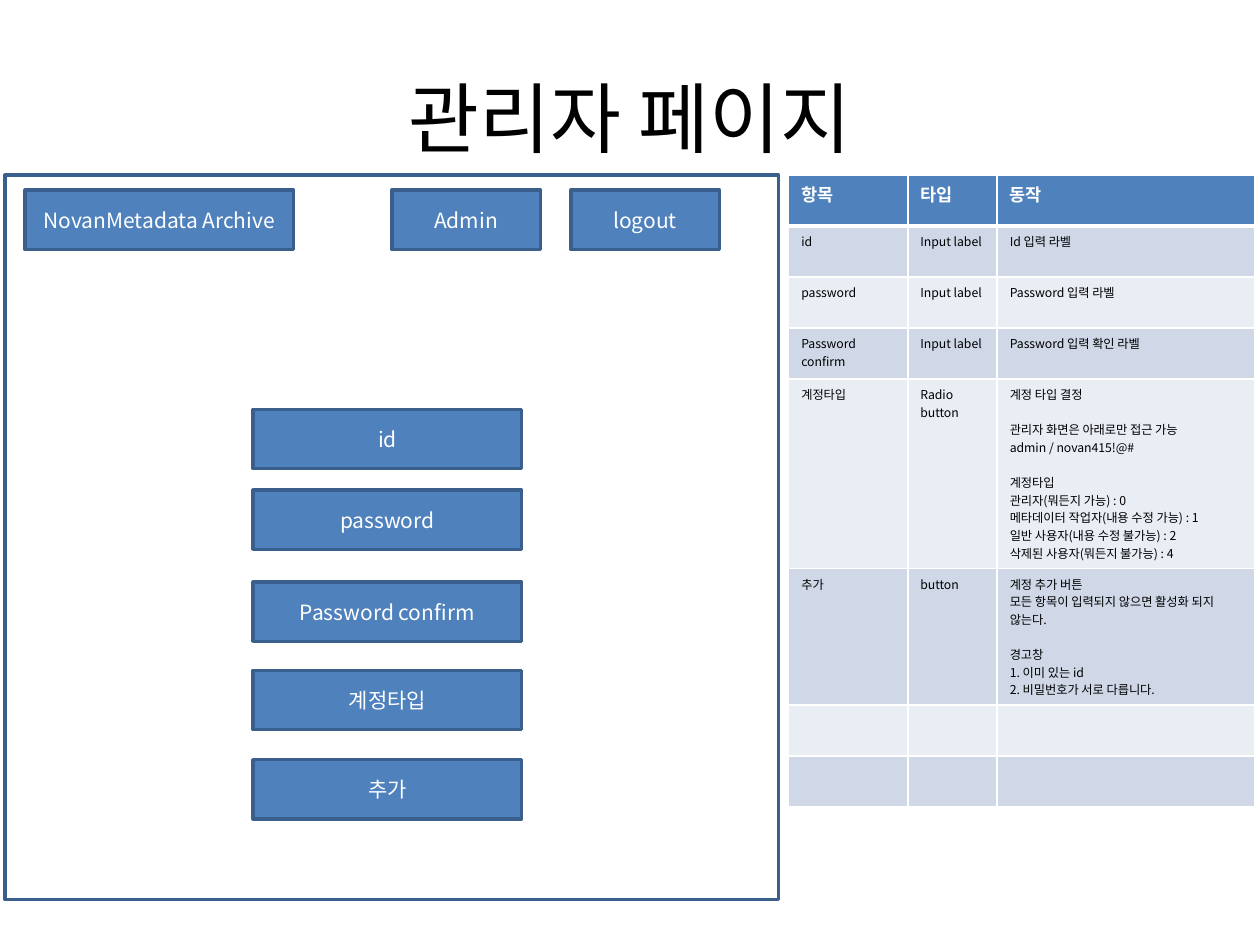
from lxml.etree import SubElement
from pptx import Presentation
from pptx.dml.color import RGBColor
from pptx.enum.shapes import MSO_SHAPE
from pptx.enum.text import MSO_ANCHOR, PP_ALIGN
from pptx.oxml import parse_xml
from pptx.oxml.ns import nsdecls, qn
from pptx.util import Inches, Pt

FONT = "Noto Sans CJK KR"
BLACK = RGBColor(0x00, 0x00, 0x00)
WHITE = RGBColor(0xFF, 0xFF, 0xFF)
BLUE = RGBColor(0x4F, 0x81, 0xBD)
NAVY = RGBColor(0x3A, 0x5F, 0x8C)
BANDS = [RGBColor(0xD0, 0xD8, 0xE8), RGBColor(0xE9, 0xED, 0xF4)]

deck = Presentation()
deck.slide_width, deck.slide_height = Inches(10), Inches(7.5)
slide = deck.slides.add_slide(deck.slide_layouts[6])
COL = deck.slide_width / 100
ROW = deck.slide_height / 75


def write(frame, text, size=12, color=WHITE, bold=False, align=PP_ALIGN.CENTER, gap=10):
    frame.word_wrap = True
    for i, block in enumerate(text.split("\n\n")):
        for j, line in enumerate(block.split("\n")):
            par = frame.add_paragraph() if i or j else frame.paragraphs[0]
            par.alignment = align
            if i and not j:
                par.space_before = Pt(gap)
            if not line:
                par._p.get_or_add_endParaRPr().set("sz", str(size * 100))
                continue
            run = par.add_run()
            run.text = line
            font = run.font
            font.size, font.bold, font.name = Pt(size), bold, FONT
            font.color.rgb = color
            SubElement(font._element, qn("a:ea")).set("typeface", FONT)


def draw(left, top, wide, high, text=""):
    box = slide.shapes.add_shape(MSO_SHAPE.RECTANGLE, int(left * COL), int(top * ROW),
                                 int(wide * COL), int(high * ROW))
    box.shadow.inherit = False
    box.line.color.rgb, box.line.width = NAVY, Pt(2)
    if text:
        box.fill.solid()
        box.fill.fore_color.rgb = BLUE
        box.text_frame.vertical_anchor = MSO_ANCHOR.MIDDLE
        write(box.text_frame, text)
    else:
        box.fill.background()


draw(0.4, 13.9, 61.4, 57.5)

title = slide.shapes.add_textbox(int(5 * COL), int(3 * ROW), int(90 * COL), int(12.5 * ROW))
title.text_frame.vertical_anchor = MSO_ANCHOR.MIDDLE
write(title.text_frame, "관리자 페이지", size=44, color=BLACK)

for left, wide, text in [(2, 21.3, "NovanMetadata Archive"), (31.1, 11.8, "Admin"),
                         (45.3, 11.8, "logout")]:
    draw(left, 15.1, wide, 4.7, text)

for top, text in [(32.5, "id"), (38.9, "password"), (46.2, "Password confirm"),
                  (53.2, "계정타입"), (60.3, "추가")]:
    draw(20.1, top, 21.3, 4.7, text)

TYPES = """계정 타입 결정

관리자 화면은 아래로만 접근 가능
admin / novan415!@#

계정타입
관리자(뭐든지 가능) : 0
메타데이터 작업자(내용 수정 가능) : 1
일반 사용자(내용 수정 불가능) : 2
삭제된 사용자(뭐든지 불가능) : 4"""
ADD = """계정 추가 버튼
모든 항목이 입력되지 않으면 활성화 되지 않는다.

경고창
1. 이미 있는 id
2. 비밀번호가 서로 다릅니다."""
DATA = [
    ("항목", "타입", "동작"),
    ("id", "Input label", "Id 입력 라벨"),
    ("password", "Input label", "Password 입력 라벨"),
    ("Password confirm", "Input label", "Password 입력 확인 라벨"),
    ("계정타입", "Radio button", TYPES),
    ("추가", "button", ADD),
    ("", "", ""),
    ("", "", ""),
]
WIDTHS = [9.45, 7.1, 20.45]
HIGHS = [4.05] * 4 + [15.05, 10.8] + [4.05] * 2

table = slide.shapes.add_table(len(DATA), len(WIDTHS), int(62.6 * COL), int(13.9 * ROW),
                               int(sum(WIDTHS) * COL), int(sum(HIGHS) * ROW)).table
for col, wide in zip(table.columns, WIDTHS):
    col.width = int(wide * COL)
for r, (texts, high) in enumerate(zip(DATA, HIGHS)):
    table.rows[r].height = int(high * ROW)
    for c, text in enumerate(texts):
        cell = table.cell(r, c)
        for side in "LRTB":
            thick = 3 if (r, side) in [(0, "B"), (1, "T")] else 1
            cell._tc.get_or_add_tcPr().append(parse_xml(
                f'<a:ln{side} {nsdecls("a")} w="{Pt(thick)}"><a:solidFill>'
                f'<a:srgbClr val="{WHITE}"/></a:solidFill></a:ln{side}>'))
        cell.fill.solid()
        cell.fill.fore_color.rgb = BANDS[(r - 1) % 2] if r else BLUE
        write(cell.text_frame, text, size=7 if r else 10, color=BLACK if r else WHITE,
              bold=not r, align=PP_ALIGN.LEFT)

deck.save("out.pptx")
